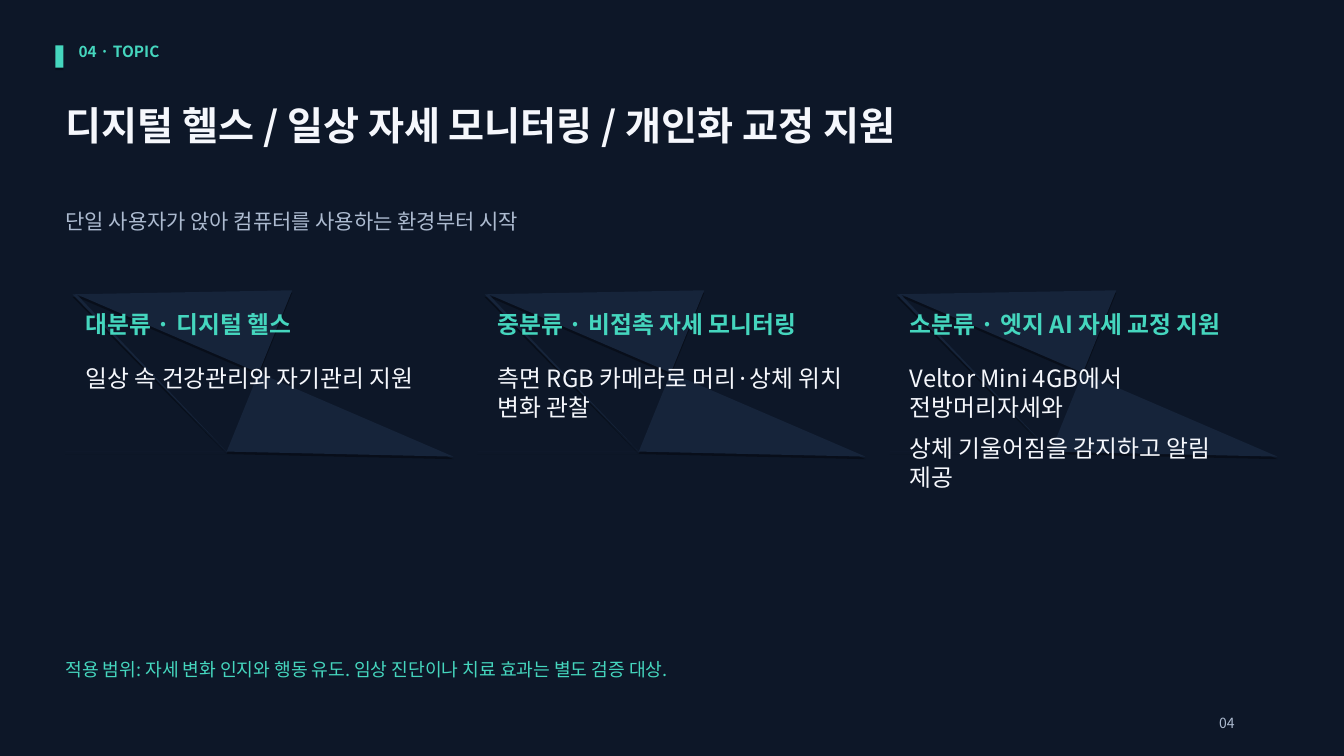
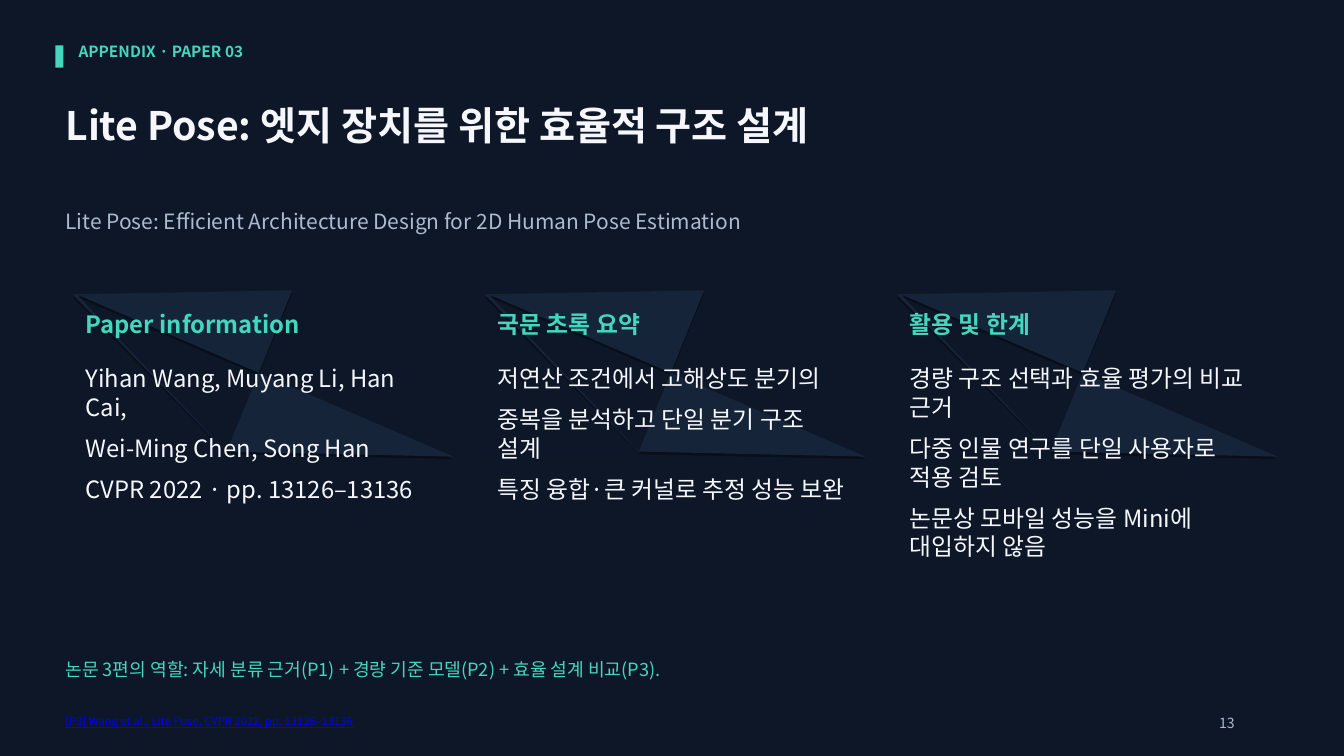
from dataclasses import dataclass

from lxml import etree
from pptx import Presentation
from pptx.dml.color import RGBColor
from pptx.enum.shapes import MSO_SHAPE
from pptx.enum.text import MSO_ANCHOR, MSO_AUTO_SIZE, PP_ALIGN
from pptx.oxml.ns import qn
from pptx.util import Emu, Pt

PX = 9144
RECTANGLE = MSO_SHAPE.RECTANGLE
TOP = MSO_ANCHOR.TOP
LEFT = PP_ALIGN.LEFT
GROW = MSO_AUTO_SIZE.SHAPE_TO_FIT_TEXT
TITLE_ONLY = 5


@dataclass(frozen=True)
class Theme:
    font: str = "Noto Sans CJK KR"
    background: str = "0D1728"
    panel: str = "16243A"
    accent: str = "45D6BE"
    light: str = "F5F7FC"
    muted: str = "ADBBD0"
    link: str = "0000FF"
    title: int = 28
    card: int = 17
    subtitle: int = 15
    scope: int = 13
    section: int = 11
    page: int = 10
    citation: int = 8


class Deck:
    """Builds the dark slides from one theme and keeps the current slide."""

    MARGIN = 65
    CARD_TOP = 288
    CARD_STEP = 409
    CARD_PADDING = 20
    PANEL_OUTLINE = [(0, 160), (160, 160), (7, 4), (225, 0),
                     (160, 160), (11, 4), (385, 165), (160, 160)]

    def __init__(self, theme):
        self.theme = theme
        self.prs = Presentation()
        self.prs.slide_width = Emu(1334 * PX)
        self.prs.slide_height = Emu(750 * PX)
        backdrop = self.prs.slide_master.background.fill
        backdrop.solid()
        backdrop.fore_color.rgb = RGBColor.from_string(theme.background)
        self.slide = None

    def fill_text(self, holder, lines, size, color, bold=False, underline=False):
        frame = holder.text_frame
        frame.word_wrap = True
        frame.auto_size = GROW
        frame.vertical_anchor = TOP
        frame.margin_left = frame.margin_right = frame.margin_bottom = 0
        frame.margin_top = Emu(3 * PX)
        frame.text = "\n".join(lines)
        for paragraph in frame.paragraphs:
            paragraph.alignment = LEFT
            paragraph.space_before = Pt(0)
            paragraph.space_after = Pt(9.1)
            font = paragraph.font
            font.name = self.theme.font
            font.size = Pt(size)
            font.bold = bold
            font.underline = underline
            font.color.rgb = RGBColor.from_string(color)
            defaults = paragraph._p.pPr.find(qn("a:defRPr"))
            etree.SubElement(defaults, qn("a:ea"), typeface=self.theme.font)

    def text(self, x, y, width, height, lines, size, color, **style):
        box = self.slide.shapes.add_textbox(*(Emu(n * PX) for n in (x, y, width, height)))
        self.fill_text(box, lines, size, color, **style)

    def paint(self, shape, color):
        shape.fill.solid()
        shape.fill.fore_color.rgb = RGBColor.from_string(color)
        shape.line.fill.background()
        shape.shadow.inherit = False
        effects = shape._element.spPr.find(qn("a:effectLst"))
        shadow = etree.SubElement(effects, qn("a:outerShdw"), blurRad="0",
                                  dist=str(int(Pt(1.8))), dir="5400000", rotWithShape="0")
        black = etree.SubElement(shadow, qn("a:srgbClr"), val="000000")
        etree.SubElement(black, qn("a:alpha"), val="35000")

    def start(self, section, title, subtitle, page):
        theme = self.theme
        self.slide = self.prs.slides.add_slide(self.prs.slide_layouts[TITLE_ONLY])
        heading = self.slide.shapes.title
        heading.left, heading.top = Emu(self.MARGIN * PX), Emu(97 * PX)
        heading.width, heading.height = Emu(1200 * PX), Emu(50 * PX)
        self.fill_text(heading, [title], theme.title, theme.light, bold=True)
        marker = self.slide.shapes.add_shape(
            RECTANGLE, *(Emu(n * PX) for n in (55, 45, 8, 22)))
        self.paint(marker, theme.accent)
        self.text(78, 39, 1100, 21, [section], theme.section, theme.accent, bold=True)
        self.text(self.MARGIN, 204, 1200, 28, [subtitle], theme.subtitle, theme.muted)
        self.text(1210, 706, 60, 20, [page], theme.page, theme.muted)

    def panel(self, x):
        first, *rest = [(x + dx, self.CARD_TOP + dy) for dx, dy in self.PANEL_OUTLINE]
        outline = self.slide.shapes.build_freeform(*first, scale=float(PX))
        outline.add_line_segments(rest, close=True)
        self.paint(outline.convert_to_shape(), self.theme.panel)

    def cards(self, contents):
        theme = self.theme
        for column, (heading, body, rows) in enumerate(contents):
            x = self.MARGIN + column * self.CARD_STEP
            self.panel(x)
            inner = x + self.CARD_PADDING
            self.text(inner, 304, 345, 31, [heading], theme.card, theme.accent, bold=True)
            height = 2 + 29 * rows + 12 * (len(body) - 1)
            self.text(inner, 358, 345, height, body, theme.card, theme.light)

    def scope(self, sentence):
        self.text(self.MARGIN, 650, 1203, 25, [sentence], self.theme.scope, self.theme.accent)

    def citation(self, reference):
        self.text(self.MARGIN, 706, 1120, 16, [reference],
                  self.theme.citation, self.theme.link, underline=True)


def main():
    deck = Deck(Theme())

    deck.start("04 · TOPIC", "디지털 헬스 / 일상 자세 모니터링 / 개인화 교정 지원",
               "단일 사용자가 앉아 컴퓨터를 사용하는 환경부터 시작", "04")
    deck.cards([
        ("대분류 · 디지털 헬스", ["일상 속 건강관리와 자기관리 지원"], 1),
        ("중분류 · 비접촉 자세 모니터링", ["측면 RGB 카메라로 머리·상체 위치 변화 관찰"], 2),
        ("소분류 · 엣지 AI 자세 교정 지원",
         ["Veltor Mini 4GB에서 전방머리자세와", "상체 기울어짐을 감지하고 알림 제공"], 4),
    ])
    deck.scope("적용 범위: 자세 변화 인지와 행동 유도. 임상 진단이나 치료 효과는 별도 검증 대상.")

    deck.start("APPENDIX · PAPER 03", "Lite Pose: 엣지 장치를 위한 효율적 구조 설계",
               "Lite Pose: Efficient Architecture Design for 2D Human Pose Estimation", "13")
    deck.cards([
        ("Paper information",
         ["Yihan Wang, Muyang Li, Han Cai,", "Wei-Ming Chen, Song Han",
          "CVPR 2022 · pp. 13126–13136"], 4),
        ("국문 초록 요약",
         ["저연산 조건에서 고해상도 분기의", "중복을 분석하고 단일 분기 구조 설계",
          "특징 융합·큰 커널로 추정 성능 보완"], 5),
        ("활용 및 한계",
         ["경량 구조 선택과 효율 평가의 비교 근거", "다중 인물 연구를 단일 사용자로 적용 검토",
          "논문상 모바일 성능을 Mini에 대입하지 않음"], 6),
    ])
    deck.scope("논문 3편의 역할: 자세 분류 근거(P1) + 경량 기준 모델(P2) + 효율 설계 비교(P3).")
    deck.citation("[P3] Wang et al., Lite Pose, CVPR 2022, pp. 13126–13136")

    deck.prs.save("out.pptx")


if __name__ == "__main__":
    main()
